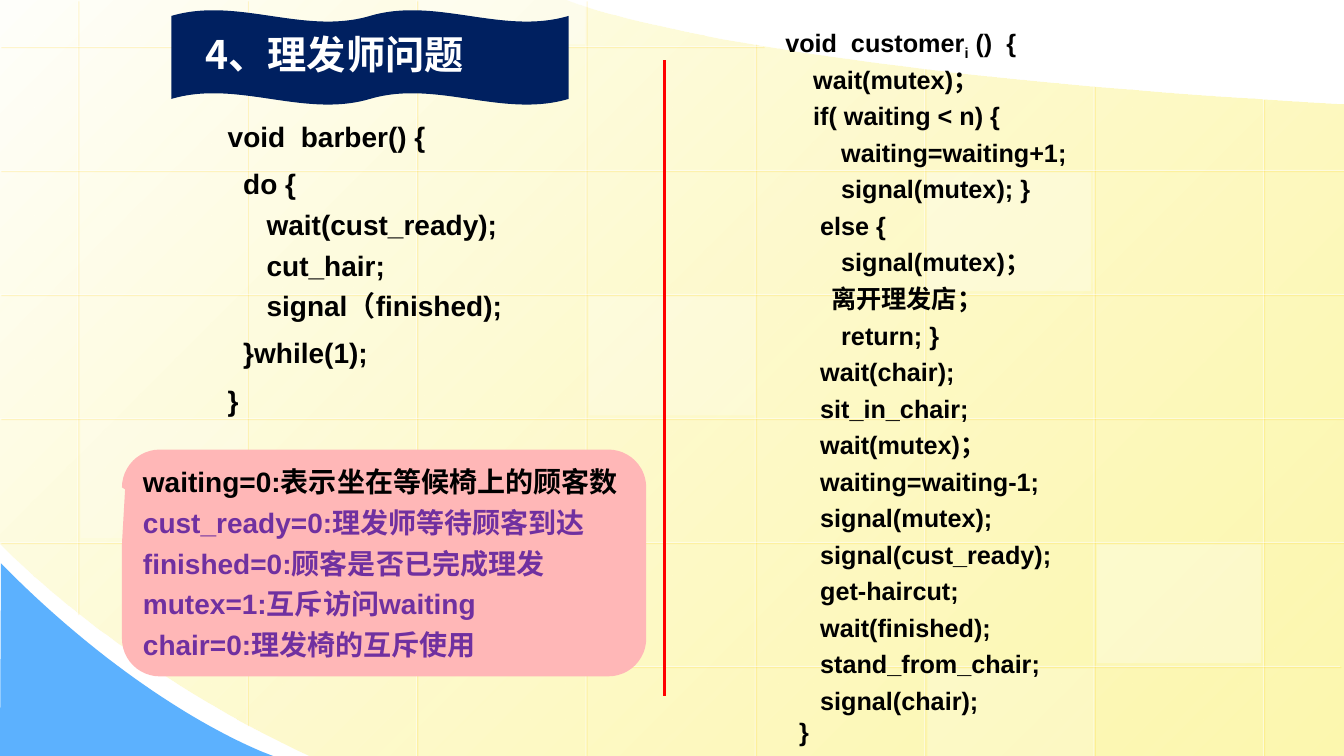
from dataclasses import dataclass
from typing import Optional

from lxml.etree import SubElement
from pptx import Presentation
from pptx.dml.color import RGBColor as Rgb
from pptx.enum.shapes import MSO_CONNECTOR as Connector, MSO_SHAPE as Preset
from pptx.enum.text import MSO_ANCHOR as Anchor, PP_ALIGN as Align
from pptx.oxml.ns import qn
from pptx.util import Inches, Pt

Point = tuple[float, float]


@dataclass(frozen=True)
class Theme:
    white: str = "FFFFFF"
    black: str = "000000"
    cream: str = "FFFFFB"
    yellow: str = "FDF58D"
    sky: str = "5CB1FE"
    gold: str = "FFCC00"
    red: str = "FF0000"
    navy: str = "002060"
    pink: str = "FFB7B7"
    purple: str = "7030A0"
    latin: str = "Arial"
    chinese: str = "Noto Sans CJK SC"
    title_size: float = 28
    barber_size: float = 20
    customer_size: float = 18
    gap: float = 0.25


@dataclass(frozen=True)
class Box:
    left: float
    top: float
    width: float
    height: float

    def emu(self) -> tuple:
        return tuple(Inches(v) for v in (self.left, self.top, self.width, self.height))


@dataclass(frozen=True)
class Tile:
    box: Box
    opacity: int


@dataclass(frozen=True)
class Line:
    text: str
    spacing: float = 1.0
    color: str = Theme.black
    subscript: str = ""
    tail: str = ""


THEME = Theme()
TILES = [
    Tile(Box(5.84, 2.94, 1.65, 1.18), 25),
    Tile(Box(10.88, 5.4, 1.63, 1.18), 30),
    Tile(Box(0.8, 4.16, 1.65, 1.18), 20),
    Tile(Box(9.2, 6.63, 1.65, 0.87), 20),
    Tile(Box(4.15, 0, 1.65, 0.44), 40),
    Tile(Box(4.16, 5.4, 1.63, 1.18), 30),
    Tile(Box(9.19, 1.71, 1.63, 1.18), 30),
]
COLUMN_SPANS = [(0, 6.09), (0, 7.19), (0, 7.5), (0, 7.5),
                (0.43, 7.5), (0.68, 7.5), (0.85, 7.5), (0.98, 7.5)]
ROW_SPANS = [(0, 7.57), *[(0, 13.33)] * 4, (1.48, 13.29)]
BARBER = [
    Line("void  barber() {", 1.2),
    Line("  do {", 1.2),
    Line("     wait(cust_ready);"),
    Line("     cut_hair;"),
    Line("     signal（finished);"),
    Line("  }while(1);", 1.2),
    Line("}", 1.2),
]
CUSTOMER_BODY = """    wait(mutex)；
    if( waiting < n) {
        waiting=waiting+1;
        signal(mutex); }
     else {
        signal(mutex)；
        离开理发店；
        return; }
     wait(chair);
     sit_in_chair;
     wait(mutex)；
     waiting=waiting-1;
     signal(mutex);
     signal(cust_ready);
     get-haircut;
     wait(finished);
     stand_from_chair;
     signal(chair);"""
CUSTOMER = [
    Line("void  customer", 0.8, subscript="i", tail=" ()  {"),
    *[Line(text) for text in CUSTOMER_BODY.split("\n")],
    Line("  }", 0.8),
]
SEMAPHORES = [
    Line("waiting=0:表示坐在等候椅上的顾客数"),
    *[Line(text, color=THEME.purple) for text in (
        "cust_ready=0:理发师等待顾客到达",
        "finished=0:顾客是否已完成理发",
        "mutex=1:互斥访问waiting",
        "chair=0:理发椅的互斥使用",
    )],
]


def set_opacity(color_parent, percent: int) -> None:
    for color in color_parent.iter(qn("a:srgbClr")):
        SubElement(color, qn("a:alpha"), val=str(percent * 1000))


def bezier(p0: Point, p1: Point, p2: Point, p3: Point, steps: int = 40) -> list[Point]:
    def at(t: float, axis: int) -> float:
        u = 1 - t
        return (u**3 * p0[axis] + 3 * u * u * t * p1[axis]
                + 3 * u * t * t * p2[axis] + t**3 * p3[axis])
    return [(at(i / steps, 0), at(i / steps, 1)) for i in range(steps + 1)]


def add_outline(slide, points: list[Point]):
    start, *rest = [(Inches(x), Inches(y)) for x, y in points]
    builder = slide.shapes.build_freeform(*start, scale=1.0)
    builder.add_line_segments(rest, close=True)
    outline = builder.convert_to_shape()
    outline.shadow.inherit = False
    outline.line.fill.background()
    return outline


def add_preset(slide, preset, box: Box, color: str, adjustments: tuple = ()):
    shape = slide.shapes.add_shape(preset, *box.emu())
    shape.shadow.inherit = False
    shape.fill.solid()
    shape.fill.fore_color.rgb = Rgb.from_string(color)
    shape.line.fill.background()
    for index, value in enumerate(adjustments):
        shape.adjustments[index] = value
    return shape


def add_rule(slide, start: Point, end: Point, color: str, width: float):
    rule = slide.shapes.add_connector(Connector.STRAIGHT, *map(Inches, (*start, *end)))
    rule.line.color.rgb = Rgb.from_string(color)
    rule.line.width = Pt(width)
    return rule, SubElement(rule._element.spPr, qn("a:effectLst"))


def add_grid_line(slide, start: Point, end: Point) -> None:
    rule, effects = add_rule(slide, start, end, THEME.white, 0.75)
    set_opacity(rule._element.spPr, 50)
    shadow = SubElement(effects, qn("a:outerShdw"), dist=str(Pt(1.4)), dir="2700000")
    SubElement(shadow, qn("a:srgbClr"), val=THEME.gold)
    set_opacity(shadow, 34)


def write_lines(frame, lines: list[Line], size: float, font: str = THEME.latin,
                frame_format: Optional[dict] = None) -> None:
    for name, value in {"word_wrap": True, **(frame_format or {})}.items():
        setattr(frame, name, value)
    for index, line in enumerate(lines):
        paragraph = frame.add_paragraph() if index else frame.paragraphs[0]
        before = Pt(size * THEME.gap) if index else Pt(0)
        paragraph_format = {"alignment": Align.LEFT, "line_spacing": line.spacing,
                            "space_before": before}
        for name, value in paragraph_format.items():
            setattr(paragraph, name, value)
        for text, baseline in ((line.text, 0), (line.subscript, -25000), (line.tail, 0)):
            if not text:
                continue
            run = paragraph.add_run()
            run.text = text
            for name, value in {"name": font, "size": Pt(size), "bold": True}.items():
                setattr(run.font, name, value)
            run.font.color.rgb = Rgb.from_string(line.color)
            properties = run._r.get_or_add_rPr()
            SubElement(properties, qn("a:ea"), typeface=THEME.chinese)
            if baseline:
                properties.set("baseline", str(baseline))


def draw_background(slide) -> None:
    paper = add_outline(slide, [
        (13.33, 7.5),
        *bezier((3.07, 7.5), (1.15, 6.61), (0, 5.39), (0, 5.39)),
        (0, 0),
        *bezier((5.61, 0), (5.61, 0), (7.15, 0.69), (13.33, 1.04)),
    ])
    paper.fill.gradient()
    paper.fill.gradient_angle = 315
    for stop, color in zip(paper.fill.gradient_stops, (THEME.cream, THEME.yellow)):
        stop.color.rgb = Rgb.from_string(color)
    set_opacity(paper.fill.gradient_stops[1]._gs, 70)

    corner = add_outline(slide, [
        (0, 7.5), *bezier((2.71, 7.5), (2.71, 7.5), (1.49, 7.09), (0.01, 5.59))])
    corner.fill.solid()
    corner.fill.fore_color.rgb = Rgb.from_string(THEME.sky)

    for column, (top, bottom) in enumerate(COLUMN_SPANS):
        x = 0.77 + 1.68 * column
        add_grid_line(slide, (x, top), (x, bottom))
    for row, (left, right) in enumerate(ROW_SPANS):
        y = 0.46 + 1.23 * row
        add_grid_line(slide, (right, y), (left, y))
    for tile in TILES:
        square = add_preset(slide, Preset.RECTANGLE, tile.box, THEME.white)
        set_opacity(square._element.spPr, tile.opacity)


def main() -> None:
    deck = Presentation()
    deck.slide_width, deck.slide_height = Inches(13.33), Inches(7.5)
    slide = deck.slides.add_slide(deck.slide_layouts[6])
    draw_background(slide)

    barber = slide.shapes.add_textbox(*Box(2.16, 1.07, 3.31, 4.17).emu())
    write_lines(barber.text_frame, BARBER, THEME.barber_size)
    customer = slide.shapes.add_textbox(*Box(7.69, 0.25, 3.54, 7.25).emu())
    write_lines(customer.text_frame, CUSTOMER, THEME.customer_size)
    add_rule(slide, (6.59, 0.6), (6.59, 6.9), THEME.red, 2.25)

    add_preset(slide, Preset.DOUBLE_WAVE, Box(1.7, 0.1, 3.94, 0.94), THEME.navy, (0.062, 0))
    title = slide.shapes.add_textbox(*Box(1.94, 0.25, 3.86, 0.57).emu())
    write_lines(title.text_frame, [Line("4、理发师问题", color=THEME.white)], THEME.title_size,
                THEME.chinese, {"vertical_anchor": Anchor.MIDDLE})

    semaphores = add_preset(slide, Preset.ROUNDED_RECTANGULAR_CALLOUT,
                            Box(1.21, 4.46, 5.2, 2.25), THEME.pink, (-0.494, -0.324, 0.167))
    write_lines(semaphores.text_frame, SEMAPHORES, THEME.barber_size,
                frame_format={"vertical_anchor": Anchor.MIDDLE, "margin_right": 0})
    deck.save("out.pptx")


if __name__ == "__main__":
    main()
